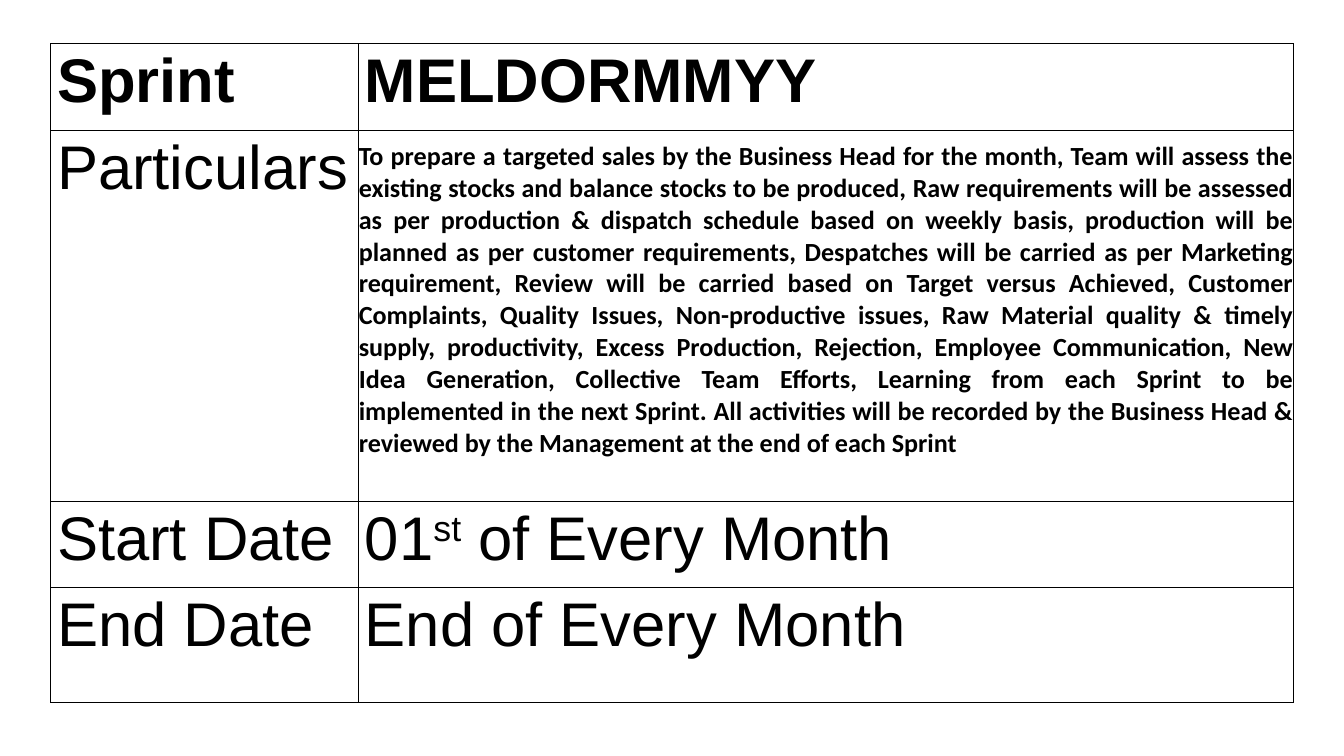
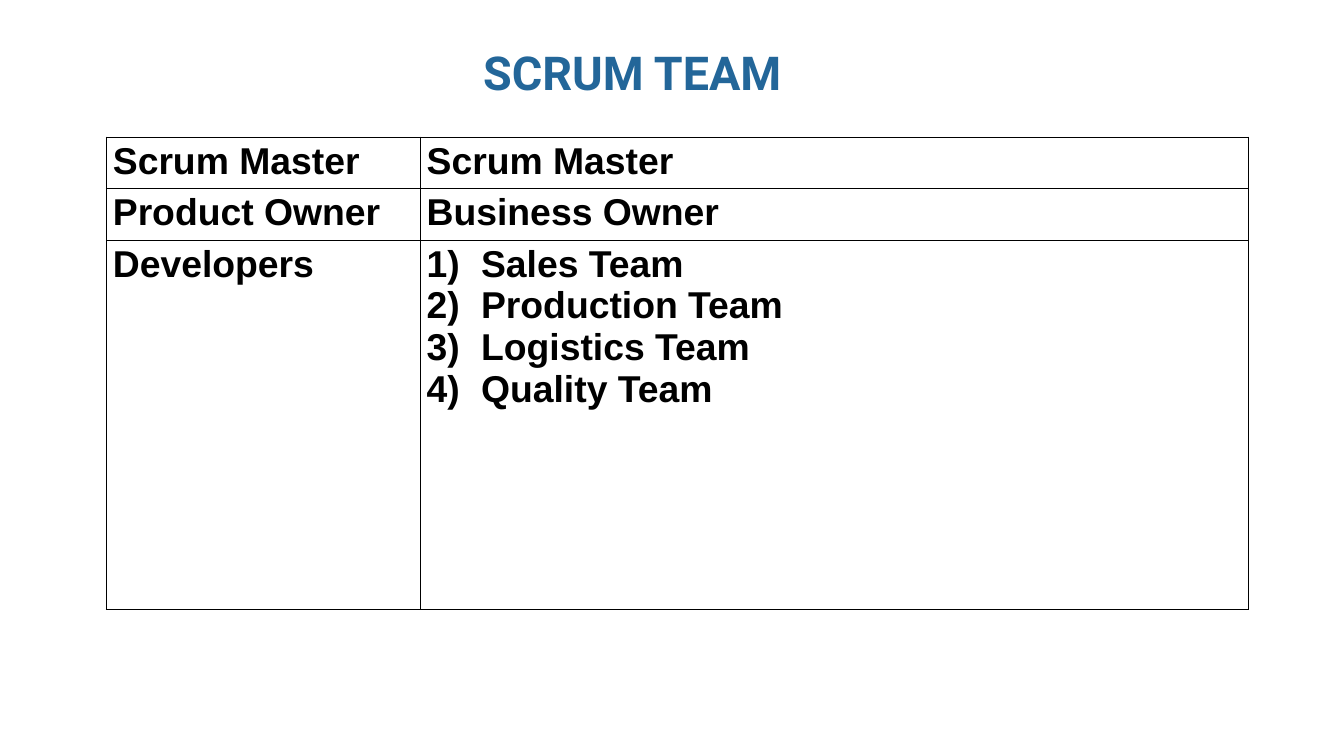
import pptx
import pptx.util
import pptx.dml.color
import pptx.enum.text
from dataclasses import dataclass
from lxml import etree
from pptx.oxml.ns import qn
from pptx.util import Inches, Pt


@dataclass(frozen=True)
class Theme:
    ink: str = "000000"
    paper: str = "FFFFFF"
    title: str = "236699"
    body_font: str = "Arial"
    prose_font: str = "Calibri"
    title_font: str = "Roboto"
    sprint_size: int = 66
    prose_size: int = 28
    team_size: int = 40
    title_size: int = 50
    border: float = 1


THEME = Theme()

# Content: a cell is a list of paragraphs, a paragraph a list of runs
PARTICULARS = (
    "To prepare a targeted sales by the Business Head for the month, Team will assess "
    "the existing stocks and balance stocks to be produced, Raw requirements will be "
    "assessed as per production & dispatch schedule based on weekly basis, production "
    "will be planned as per customer requirements, Despatches will be carried as per "
    "Marketing requirement, Review will be carried based on Target versus Achieved, "
    "Customer Complaints, Quality Issues, Non-productive issues, Raw Material quality "
    "& timely supply, productivity, Excess Production, Rejection, Employee "
    "Communication, New Idea Generation, Collective Team Efforts, Learning from each "
    "Sprint to be implemented in the next Sprint. All activities will be recorded by "
    "the Business Head & reviewed by the Management at the end of each Sprint"
)
SUPERSCRIPT = "st"
SPRINT_ROWS = [
    ([["Sprint"]], [["MELDORMMYY"]]),
    ([["Particulars"]], [[PARTICULARS]]),
    ([["Start Date"]], [["01", SUPERSCRIPT, " of Every Month"]]),
    ([["End Date"]], [["End of Every Month"]]),
]
TEAM_TITLE = "SCRUM TEAM"
TEAM_ROWS = [
    ([["Scrum Master"]], [["Scrum Master"]]),
    ([["Product Owner"]], [["Business Owner"]]),
    ([["Developers"]],
     [["Sales Team"], ["Production Team"], ["Logistics Team"], ["Quality Team"]]),
]


# Shared helpers
def rgb(value):
    return pptx.dml.color.RGBColor.from_string(value)


def style(r, font, size, color, bold):
    r.font.name, r.font.size, r.font.bold = font, Pt(size), bold
    r.font.color.rgb = rgb(color)


def add_borders(cell):
    tcPr = cell._tc.get_or_add_tcPr()
    for i, side in enumerate(("lnL", "lnR", "lnT", "lnB")):
        ln = etree.Element(qn(f"a:{side}"), w=str(Pt(THEME.border)))
        fill = etree.SubElement(ln, qn("a:solidFill"))
        etree.SubElement(fill, qn("a:srgbClr"), val=THEME.ink)
        tcPr.insert(i, ln)


def number_paragraph(p):
    pPr = p._p.get_or_add_pPr()
    indent = Inches(0.81)
    pPr.set("marL", str(indent))
    pPr.set("indent", str(-indent))
    etree.SubElement(pPr, qn("a:buFont"), typeface="+mj-lt")
    etree.SubElement(pPr, qn("a:buAutoNum"), type="arabicParenR")


def fill_cell(cell, paragraphs, size, bold):
    cell.fill.solid()
    cell.fill.fore_color.rgb = rgb(THEME.paper)
    add_borders(cell)
    tf = cell.text_frame
    for i, runs in enumerate(paragraphs):
        p = tf.add_paragraph() if i else tf.paragraphs[0]
        if len(paragraphs) > 1:
            number_paragraph(p)
        for text in runs:
            r = p.add_run()
            r.text = text
            style(r, THEME.body_font, size, THEME.ink, bold)
            if text == SUPERSCRIPT:
                r.font._element.set("baseline", "30000")


def add_grid(s, rows, left, top, widths, heights, total_height, size, bold_rows):
    frame = s.shapes.add_table(len(rows), len(widths), Inches(left), Inches(top),
                               Inches(sum(widths)), Inches(total_height))
    table = frame.table
    table.first_row = table.horz_banding = False
    for column, width in zip(table.columns, widths):
        column.width = Inches(width)
    for i, (cells, height) in enumerate(zip(rows, heights)):
        table.rows[i].height = Inches(height)
        for j, paragraphs in enumerate(cells):
            fill_cell(table.cell(i, j), paragraphs, size, i in bold_rows)
    # Rows grow to fit their text, so the frame can be taller than their sum
    frame.height = Inches(total_height)
    return table


def add_title(s, text, left, top, width, height):
    sp = s.shapes.title
    sp.left, sp.top, sp.width, sp.height = map(Inches, (left, top, width, height))
    tf = sp.text_frame
    tf.margin_left = tf.margin_right = tf.margin_top = tf.margin_bottom = 0
    tf.word_wrap = True
    tf.vertical_anchor = pptx.enum.text.MSO_ANCHOR.TOP
    tf.auto_size = pptx.enum.text.MSO_AUTO_SIZE.SHAPE_TO_FIT_TEXT
    p = tf.paragraphs[0]
    p.alignment = pptx.enum.text.PP_ALIGN.LEFT
    r = p.add_run()
    r.text = text
    style(r, THEME.title_font, THEME.title_size, THEME.title, True)


# Slides
def build_sprint(prs):
    s = prs.slides.add_slide(prs.slide_layouts[6])
    table = add_grid(s, SPRINT_ROWS, 0.75, 0.65, (4.58, 13.92),
                     (1.29, 5.52, 1.28, 1.72), 9.81, THEME.sprint_size, {0})
    # The long description is smaller, justified and set above the row's middle
    cell = table.cell(1, 1)
    cell.vertical_anchor = pptx.enum.text.MSO_ANCHOR.MIDDLE
    cell.margin_left = cell.margin_right = cell.margin_top = Inches(0.01)
    cell.margin_bottom = Inches(0.48)
    p = cell.text_frame.paragraphs[0]
    p.alignment = pptx.enum.text.PP_ALIGN.JUSTIFY
    style(p.runs[0], THEME.prose_font, THEME.prose_size, THEME.ink, True)


def build_team(prs):
    s = prs.slides.add_slide(prs.slide_layouts[5])
    add_grid(s, TEAM_ROWS, 1.58, 2.04, (4.67, 12.33), (0.55, 0.57, 5.49), 7.03,
             THEME.team_size, {0, 1, 2})
    add_title(s, TEAM_TITLE, 7.19, 0.65, 5.63, 0.86)


def main():
    prs = pptx.Presentation()
    prs.slide_width, prs.slide_height = Inches(20), Inches(11.25)
    build_sprint(prs)
    build_team(prs)
    prs.save("out.pptx")


if __name__ == "__main__":
    main()
